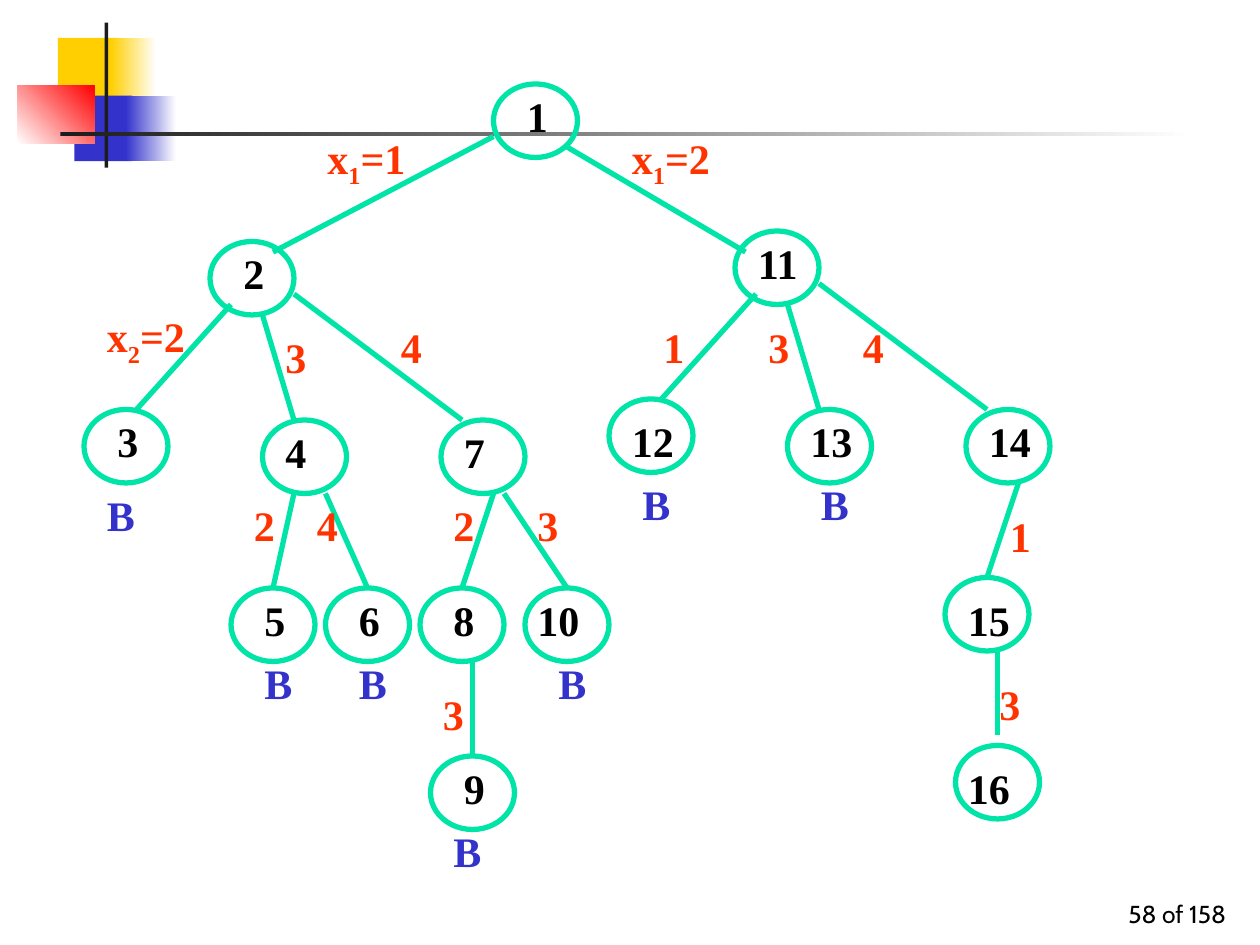
"""Build a slide with a branch-and-bound search tree on a decorated background."""
from lxml.etree import SubElement
from pptx import Presentation
from pptx.dml.color import RGBColor
from pptx.enum.shapes import MSO_CONNECTOR, MSO_SHAPE
from pptx.enum.text import MSO_ANCHOR, MSO_AUTO_SIZE, PP_ALIGN
from pptx.oxml.ns import qn
from pptx.util import Inches, Pt

GREEN = RGBColor(0x00, 0xE4, 0xA8)
ORANGE = RGBColor(0xFF, 0x33, 0x00)
BLUE = RGBColor(0x33, 0x33, 0xCC)
YELLOW = RGBColor(0xFF, 0xCF, 0x01)
RED = RGBColor(0xFF, 0x00, 0x00)
DARK = RGBColor(0x1C, 0x1C, 0x1C)
BLACK = RGBColor(0, 0, 0)
WHITE = RGBColor(0xFF, 0xFF, 0xFF)

# left, top, width, height in inches; colours; gradient angle
DECORATION = [
    ((0.46, 0.3, 0.48, 0.52), (YELLOW,), 0),
    ((0.88, 0.3, 0.36, 0.52), (YELLOW, WHITE), 0),
    ((0.59, 0.76, 0.46, 0.52), (BLUE,), 0),
    ((1, 0.76, 0.4, 0.52), (BLUE, WHITE), 0),
    ((0.14, 0.68, 0.61, 0.46), (WHITE, RED), 45),
    ((0.83, 0.18, 0.03, 1.15), (DARK,), 0),
    ((0.48, 1.05, 9, 0.03), (DARK, WHITE), 0),
]

# The tree is laid out on a grid of twelfths of an inch.
GRID = 12
NODE_SIZE = (8, 7)
NUMBER_SIZE = (9, 6)
LABEL_SIZE = (7, 6)
EQUATION_SIZE = (13, 6.72)

# number, node position, offset of the number inside the node
NODES = [
    ("1", (47, 8), (2, 0)),
    ("2", (20, 23), (2, 0)),
    ("3", (8, 39), (2, 0)),
    ("4", (25, 40), (1, 0)),
    ("7", (42, 40), (1, 0)),
    ("5", (22, 56), (2, 0)),
    ("6", (31, 56), (2, 0)),
    ("8", (40, 56), (2, 0)),
    ("10", (50, 56), (0, 0)),
    ("9", (41, 72), (2, 0)),
    ("11", (70, 22), (1, 0)),
    ("12", (58, 38), (1, 1)),
    ("13", (75, 39), (1, 0)),
    ("14", (92, 39), (1, 0)),
    ("15", (90, 55), (1, 1)),
    ("16", (91, 71), (0, 1)),
]

# start, end, label runs (base, subscript, rest), label position
BRANCHES = [
    ((47, 13), (26, 24), ("x", "1", "=1"), (30, 12)),
    ((22, 29), (13, 39), ("x", "2", "=2"), (9, 29)),
    ((25, 30), (28, 40), ("3",), (26, 31)),
    ((28, 28), (44, 40), ("4",), (37, 30)),
    ((28, 47), (26, 56), ("2",), (23, 47)),
    ((31, 47), (35, 56), ("4",), (29, 47)),
    ((47, 47), (44, 56), ("2",), (42, 47)),
    ((48, 47), (54, 56), ("3",), (50, 47)),
    ((45, 63), (45, 72), ("3",), (41, 65)),
    ((54, 14), (71, 24), ("x", "1", "=2"), (59, 12)),
    ((72, 28), (63, 38), ("1",), (62, 30)),
    ((75, 29), (78, 39), ("3",), (72, 30)),
    ((78, 27), (94, 39), ("4",), (81, 30)),
    ((97, 46), (94, 55), ("1",), (95, 48)),
    ((95, 62), (95, 70), ("3",), (94, 64)),
]

BOUNDED = [(9, 46), (24, 62), (33, 62), (42, 78), (52, 62), (60, 45), (77, 45)]


def on_grid(*values):
    return [Inches(value / GRID) for value in values]


def add_decoration(shapes, box, colours, angle):
    block = shapes.add_shape(MSO_SHAPE.RECTANGLE, *map(Inches, box))
    block.shadow.inherit = False
    block.line.fill.background()
    if len(colours) == 1:
        block.fill.solid()
        block.fill.fore_color.rgb = colours[0]
        return
    block.fill.gradient()
    block.fill.gradient_angle = angle
    for stop, colour in zip(block.fill.gradient_stops, colours):
        stop.color.rgb = colour


def add_run(paragraph, text, colour, size, font, bold):
    run = paragraph.add_run()
    run.text = text
    run.font.size, run.font.name, run.font.bold = Pt(size), font, bold
    run.font.color.rgb = colour
    return run


def add_label(shapes, parts, position, size, colour):
    label = shapes.add_textbox(*on_grid(*position, *size))
    frame = label.text_frame
    frame.word_wrap = True
    frame.auto_size = MSO_AUTO_SIZE.SHAPE_TO_FIT_TEXT
    paragraph = frame.paragraphs[0]
    paragraph.space_before = Pt(15)
    for index, part in enumerate(parts):
        run = add_run(paragraph, part, colour, 24, "Times New Roman", True)
        if index == 1:
            run._r.get_or_add_rPr().set("baseline", "-25000")


def add_node(shapes, number, position, offset):
    node = shapes.add_shape(MSO_SHAPE.OVAL, *on_grid(*position, *NODE_SIZE))
    node.shadow.inherit = False
    node.fill.background()
    node.line.color.rgb = GREEN
    node.line.width = Pt(3)
    number_position = [start + shift for start, shift in zip(position, offset)]
    add_label(shapes, (number,), number_position, NUMBER_SIZE, BLACK)


def add_branch(shapes, start, end):
    branch = shapes.add_connector(MSO_CONNECTOR.STRAIGHT, *on_grid(*start, *end))
    branch.line.color.rgb = GREEN
    branch.line.width = Pt(3)
    SubElement(branch._element.spPr, qn("a:effectLst"))


def add_page_number(shapes):
    page = shapes.add_textbox(*map(Inches, (7.75, 6.92, 2.08, 0.5)))
    page.text_frame.word_wrap = True
    page.text_frame.vertical_anchor = MSO_ANCHOR.BOTTOM
    paragraph = page.text_frame.paragraphs[0]
    paragraph.alignment = PP_ALIGN.RIGHT
    add_run(paragraph, "58 of 158", BLACK, 14, "Cabin", False)


def main():
    deck = Presentation()
    deck.slide_width, deck.slide_height = Inches(10), Inches(7.5)
    slide = deck.slides.add_slide(deck.slide_layouts[6])
    for decoration in DECORATION:
        add_decoration(slide.shapes, *decoration)
    add_page_number(slide.shapes)

    tree = slide.shapes.add_group_shape().shapes
    for node in NODES:
        add_node(tree, *node)
    for start, end, parts, position in BRANCHES:
        add_branch(tree, start, end)
        size = EQUATION_SIZE if len(parts) > 1 else LABEL_SIZE
        add_label(tree, parts, position, size, ORANGE)
    for position in BOUNDED:
        add_label(tree, ("B",), position, LABEL_SIZE, BLUE)
    deck.save("out.pptx")


if __name__ == "__main__":
    main()
